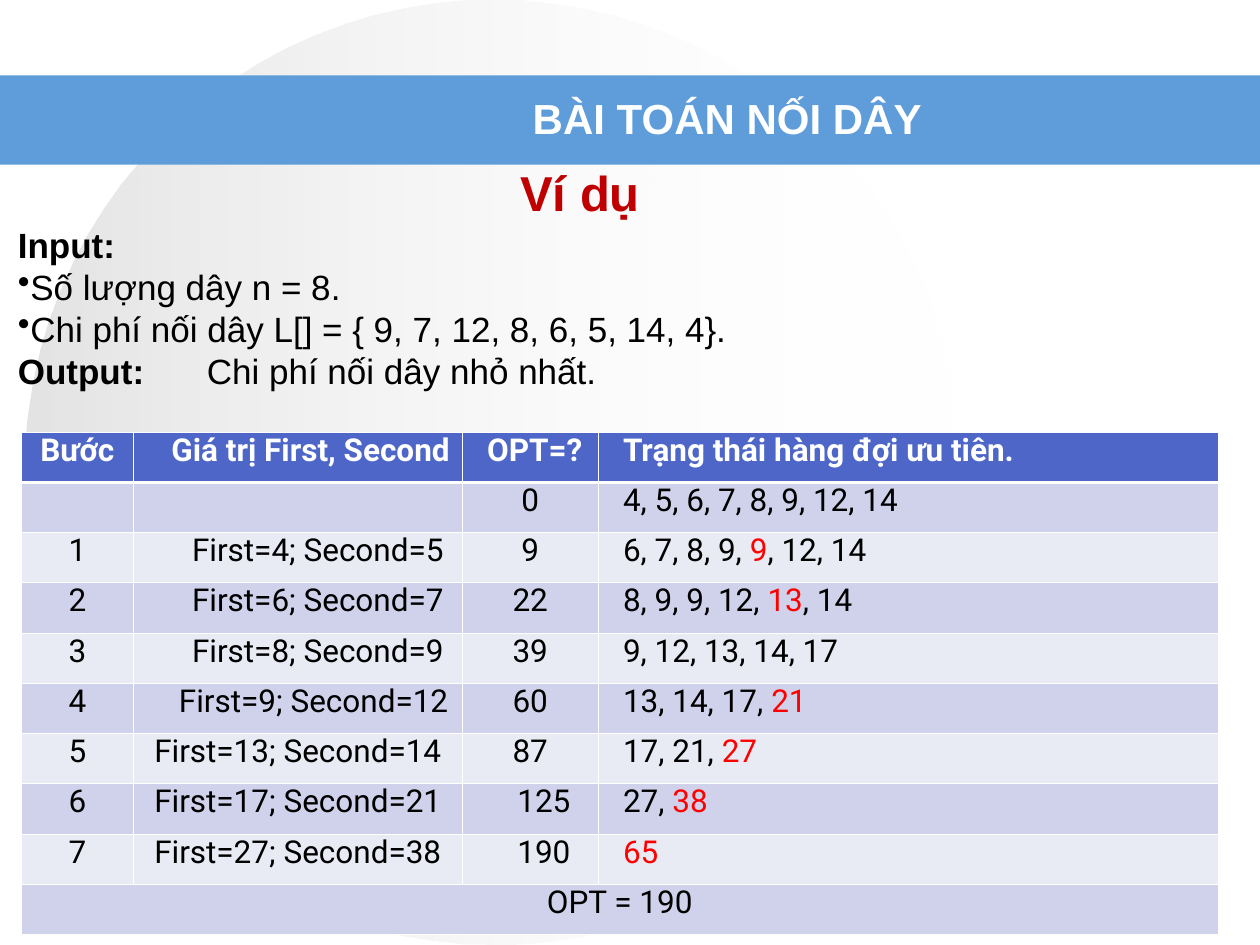
from lxml.etree import SubElement
from pptx import Presentation
from pptx.dml.color import RGBColor
from pptx.enum.shapes import MSO_SHAPE as Shape
from pptx.enum.text import MSO_ANCHOR as Anchor, PP_ALIGN as Align
from pptx.oxml.ns import qn
from pptx.util import Cm, Pt

WHITE = RGBColor(0xFF, 0xFF, 0xFF)
BLACK = RGBColor(0, 0, 0)
SILVER = RGBColor(0xC0, 0xC0, 0xC0)
BANNER_BLUE = RGBColor(0x5E, 0x9C, 0xDA)
HEADER_BLUE = RGBColor(0x4D, 0x66, 0xC7)
BANDS = [RGBColor(0xCF, 0xD2, 0xEA), RGBColor(0xE8, 0xEA, 0xF4)]
DARK_RED = RGBColor(0xC0, 0, 0)
RED = RGBColor(0xFF, 0, 0)

COLUMN_WIDTHS = [2.26, 6.63, 2.74, 12.5]
HEADERS = ["Bước", "Giá trị First, Second", "OPT=?", "Trạng thái hàng đợi ưu tiên."]
# Step, merged pair, running cost, queue (asterisks enclose the newly added value)
STEPS = [
    ["", "", "0", "4, 5, 6, 7, 8, 9, 12, 14"],
    ["1", "First=4; Second=5", "9", "6, 7, 8, 9, *9*, 12, 14"],
    ["2", "First=6; Second=7", "22", "8, 9, 9, 12, *13*, 14"],
    ["3", "First=8; Second=9", "39", "9, 12, 13, 14, 17"],
    ["4", "First=9; Second=12", "60", "13, 14, 17, *21*"],
    ["5", "First=13; Second=14", "87", "17, 21, *27*"],
    ["6", "First=17; Second=21", "125", "27, *38*"],
    ["7", "First=27; Second=38", "190", "*65*"],
]
TOTAL = ["OPT = 190", "", "", ""]


def set_font(font, name, size, color, bold=False):
    font.name, font.size, font.bold = name, Pt(size), bold
    font.color.rgb = color


def set_indent(paragraph, left):
    properties = paragraph._p.get_or_add_pPr()
    properties.set("marL", str(Cm(left)))
    properties.set("indent", "0")
    return properties


def add_text_frame(slide, left, top, width, height):
    frame = slide.shapes.add_textbox(Cm(left), Cm(top), Cm(width), Cm(height)).text_frame
    frame.word_wrap = True
    frame.margin_left = frame.margin_right = frame.margin_top = frame.margin_bottom = 0
    return frame


def add_plain_shape(slide, kind, left, top, width, height):
    shape = slide.shapes.add_shape(kind, Cm(left), Cm(top), Cm(width), Cm(height))
    shape.shadow.inherit = False
    shape.line.fill.background()
    return shape


def add_backdrop(slide, left, top, width, height):
    """Pale ellipse fading out to the right."""
    ellipse = add_plain_shape(slide, Shape.OVAL, left, top, width, height)
    ellipse.fill.gradient()
    ellipse.fill.gradient_angle = 0
    for stop, color in zip(ellipse.fill.gradient_stops, (SILVER, WHITE)):
        stop.color.rgb = color
    colors = ellipse._element.spPr.iter(qn("a:srgbClr"))
    for color, opacity in zip(list(colors), (44, 0)):
        SubElement(color, qn("a:alpha")).set("val", str(opacity * 1000))


def add_banner(slide, left, top, width, height):
    """Blue band with the title in its right part."""
    band = add_plain_shape(slide, Shape.RECTANGLE, left, top, width, height)
    band.fill.solid()
    band.fill.fore_color.rgb = BANNER_BLUE
    frame = add_text_frame(slide, left + 4.37, top + 0.18, width - 4.6, 1.35)
    frame.vertical_anchor = Anchor.MIDDLE
    paragraph = frame.paragraphs[0]
    paragraph.text = "BÀI TOÁN NỐI DÂY "
    paragraph.alignment = Align.CENTER
    set_font(paragraph.font, "Arial", 24, WHITE, True)


def add_problem(slide, left, top, width, height):
    """Example heading, input and output."""
    frame = add_text_frame(slide, left, top, width, height)
    frame.margin_top = Cm(0.03)

    heading = frame.paragraphs[0]
    heading.text = "Ví dụ"
    set_font(heading.font, "Arial", 28, DARK_RED, True)
    set_indent(heading, 10.16)

    input_label = frame.add_paragraph()
    input_label.text = "Input:"
    set_font(input_label.font, "Arial", 20, BLACK, True)
    set_indent(input_label, 0.03)
    heading.space_before = input_label.space_before = Pt(0.9)

    for text in ("Số lượng dây n = 8.",
                 "Chi phí nối dây L[] = { 9, 7, 12, 8, 6, 5, 14, 4}."):
        bullet = frame.add_paragraph()
        bullet.text = text
        set_font(bullet.font, "Arial", 20, BLACK)
        SubElement(set_indent(bullet, 0.03), qn("a:buChar")).set("char", "•")

    output = frame.add_paragraph()
    tabs = SubElement(set_indent(output, 0.03), qn("a:tabLst"))
    tab = SubElement(tabs, qn("a:tab"))
    tab.set("pos", str(Cm(3.15)))
    tab.set("algn", "l")
    for text, bold in (("Output:\t", True), ("Chi phí nối dây nhỏ nhất.", False)):
        run = output.add_run()
        run.text = text
        set_font(run.font, "Arial", 20, BLACK, bold)


def set_borders(cell, widths):
    properties = cell._tc.get_or_add_tcPr()
    for side, width in zip("LRTB", widths):
        line = SubElement(properties, qn(f"a:ln{side}"))
        line.set("w", str(Pt(width)))
        fill = SubElement(line, qn("a:solidFill"))
        SubElement(fill, qn("a:srgbClr")).set("val", str(WHITE))


def cell_layout(row, column, text):
    """Alignment and left indent of a cell's text."""
    if column == 3 or (row == 0 and column == 2):
        return Align.LEFT, 0.25
    if row == 0 and column == 1:
        return Align.RIGHT, 0
    if column == 2 and len(text) == 3:
        return Align.LEFT, 0.86
    if column == 1 and 2 <= row <= 5:
        return Align.CENTER, 0.64 if row == 5 else 0.81
    return Align.CENTER, 0


def fill_cell(cell, row, column, text):
    set_borders(cell, (0.45 if column == 1 else 0.75,
                       0.45 if column == 0 else 0.75,
                       2.1 if row == 1 else 0.75,
                       2.1 if row == 0 else 0.75))
    cell.fill.solid()
    cell.fill.fore_color.rgb = BANDS[(row - 1) % 2] if row else HEADER_BLUE
    cell.margin_top = cell.margin_bottom = 0
    cell.margin_left = cell.margin_right = Cm(0.25)

    paragraph = cell.text_frame.paragraphs[0]
    paragraph.alignment, indent = cell_layout(row, column, text)
    paragraph.space_before = Pt(3.3)
    set_indent(paragraph, indent)
    set_font(paragraph.font, "Roboto", 18, BLACK)
    for index, part in enumerate(text.split("*")):
        if part:
            run = paragraph.add_run()
            run.text = part
            color = RED if index % 2 else BLACK
            set_font(run.font, "Roboto", 18, color if row else WHITE, row == 0)


def add_steps_table(slide, left, top, width, height):
    rows = [HEADERS, *STEPS, TOTAL]
    table = slide.shapes.add_table(len(rows), len(HEADERS), Cm(left), Cm(top),
                                   Cm(width), Cm(height)).table
    for column, column_width in zip(table.columns, COLUMN_WIDTHS):
        column.width = Cm(column_width)
    for row, texts in enumerate(rows):
        for column, text in enumerate(texts):
            fill_cell(table.cell(row, column), row, column, text)
    # The total spans the whole last row
    last = len(rows) - 1
    table.cell(last, 0).merge(table.cell(last, len(HEADERS) - 1))


def main():
    presentation = Presentation()
    presentation.slide_width, presentation.slide_height = Cm(25.4), Cm(19.05)
    slide = presentation.slides.add_slide(presentation.slide_layouts[6])
    add_backdrop(slide, 0.5, 0, 18.9, 19.05)
    add_banner(slide, 0, 1.52, 25.4, 1.8)
    add_steps_table(slide, 0.43, 8.71, sum(COLUMN_WIDTHS), 10.13)
    add_problem(slide, 0.33, 3.25, 25.02, 4.65)
    presentation.save("out.pptx")


if __name__ == "__main__":
    main()
